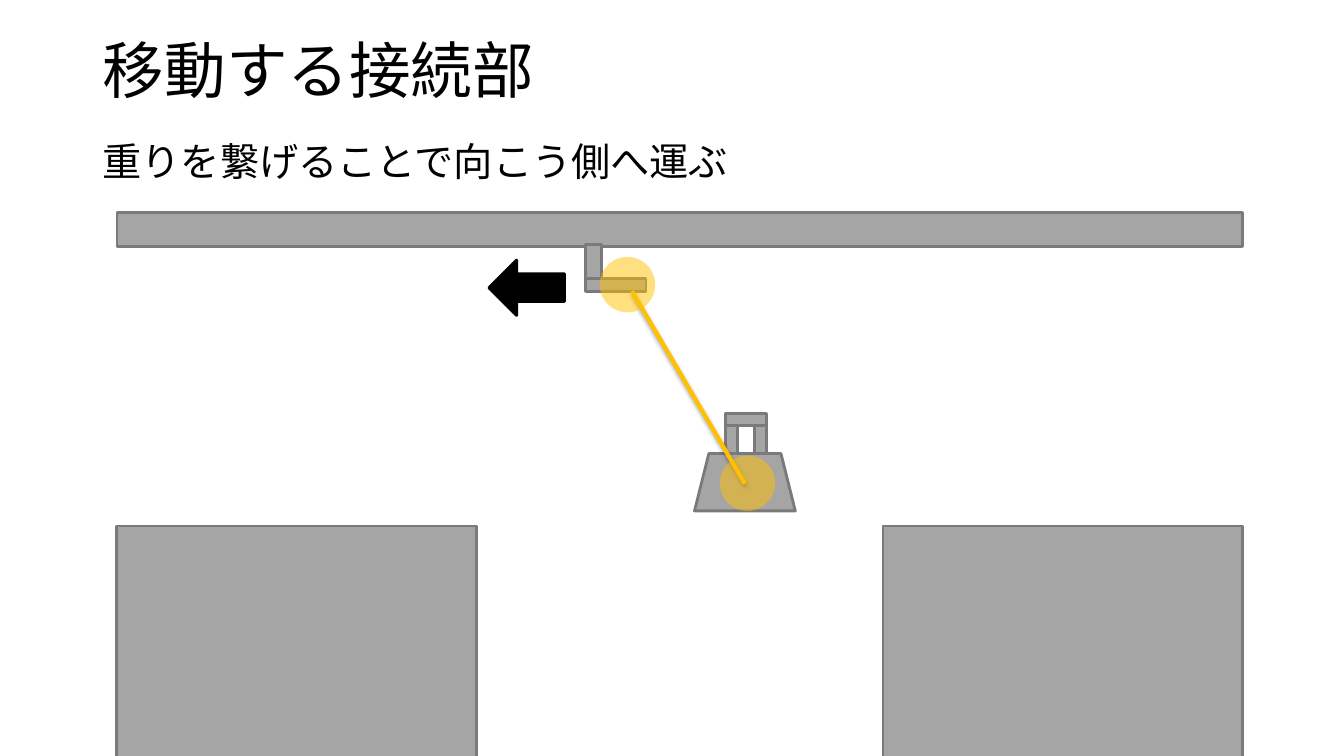
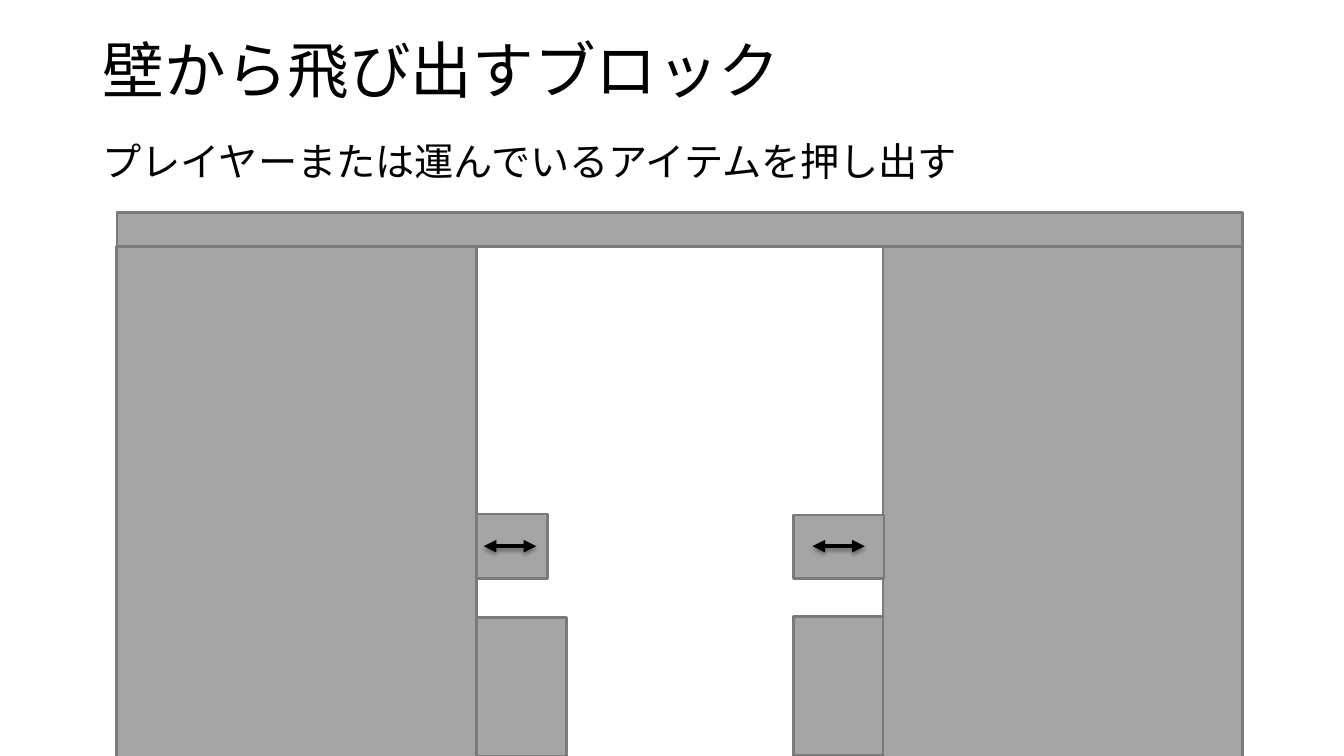
from lxml.etree import SubElement
from pptx import Presentation
from pptx.dml.color import RGBColor
from pptx.enum.shapes import MSO_CONNECTOR, MSO_SHAPE
from pptx.enum.text import MSO_ANCHOR, MSO_AUTO_SIZE, PP_ALIGN
from pptx.oxml.ns import qn
from pptx.util import Inches, Pt

COLORS = {"text": "000000", "block": "A5A5A5", "edge": "7A7A7A", "link": "FFC000"}
FONT = "Calibri"

presentation = Presentation()
presentation.slide_width = Inches(13.33)
presentation.slide_height = Inches(7.5)
CELL = presentation.slide_width / 40  # square grid: 40 columns, 22.5 rows

TEXT_LEFT, TEXT_WIDTH = 2.76, 34.5
WALL_WIDTH, WALL_BOTTOM = 10.71, 22.56
LEFT_WALL, RIGHT_WALL = 3.48, 26.28
LEFT_FACE = LEFT_WALL + WALL_WIDTH
BEAM_TOP, BEAM_HEIGHT = 6.33, 1.02
JOINT_SIZE = 1.65


def write_text(shape, text, top, height, size, anchor, space_before=0):
    shape.left, shape.top, shape.width, shape.height = [
        round(cells * CELL) for cells in (TEXT_LEFT, top, TEXT_WIDTH, height)]
    frame = shape.text_frame
    frame.word_wrap = True
    frame.auto_size = MSO_AUTO_SIZE.NONE
    frame.vertical_anchor = anchor
    paragraph = frame.paragraphs[0]
    paragraph.alignment = PP_ALIGN.LEFT
    paragraph.line_spacing = 0.9
    paragraph.space_before = Pt(space_before)
    run = paragraph.add_run()
    run.text = text
    run.font.name = FONT
    run.font.size = Pt(size)
    run.font.color.rgb = RGBColor.from_string(COLORS["text"])


def draw_shape(slide, left, top, width, height,
               preset=MSO_SHAPE.RECTANGLE, fill="block", edge="edge", opacity=100):
    """Draw a preset shape placed in grid cells; edge=None leaves out the outline."""
    shape = slide.shapes.add_shape(
        preset, *[round(cells * CELL) for cells in (left, top, width, height)])
    shape.shadow.inherit = False
    shape.fill.solid()
    shape.fill.fore_color.rgb = RGBColor.from_string(COLORS[fill])
    if opacity < 100:
        color = shape._element.spPr.find(qn("a:solidFill")).find(qn("a:srgbClr"))
        SubElement(color, qn("a:alpha"), val=str(opacity * 1000))
    if edge:
        shape.line.color.rgb = RGBColor.from_string(COLORS[edge])
        shape.line.width = Pt(2)
    else:
        shape.line.fill.background()


# Title, subtitle, walls and ceiling beam of each slide
slides = []
for title, subtitle, wall_top in (
    ("移動する接続部", "重りを繋げることで向こう側へ運ぶ", 15.66),
    ("壁から飛び出すブロック", "プレイヤーまたは運んでいるアイテムを押し出す", BEAM_TOP + BEAM_HEIGHT),
):
    slide = presentation.slides.add_slide(presentation.slide_layouts[5])
    write_text(slide.shapes.title, title, 0, 4.35, 44, MSO_ANCHOR.MIDDLE)
    write_text(slide.shapes.add_textbox(0, 0, 0, 0), subtitle, 4.11, 2.1, 28,
               MSO_ANCHOR.TOP, space_before=10)
    for wall_left in (LEFT_WALL, RIGHT_WALL):
        draw_shape(slide, wall_left, wall_top, WALL_WIDTH, WALL_BOTTOM - wall_top)
    draw_shape(slide, LEFT_WALL, BEAM_TOP, RIGHT_WALL + WALL_WIDTH - LEFT_WALL, BEAM_HEIGHT)
    slides.append(slide)
moving_slide, pushing_slide = slides

# Hook under the beam, then the weight with its handle
for box in ((17.43, 7.29, 0.48, 1.02), (17.43, 8.28, 1.8, 0.39)):
    draw_shape(moving_slide, *box)
draw_shape(moving_slide, 20.67, 13.5, 3, 1.71, preset=MSO_SHAPE.TRAPEZOID)
for box in ((22.46, 12.66, 0.36, 0.84), (21.6, 12.66, 0.36, 0.84), (21.6, 12.3, 1.22, 0.36)):
    draw_shape(moving_slide, *box)

# Fixed ledges, then the blocks that slide out above them
for box in (
    (LEFT_FACE, 18.39, 2.67, 4.14),
    (23.61, 18.36, 2.67, 4.14),
    (LEFT_FACE, 15.3, 2.1, 1.92),
    (23.61, 15.33, 2.7, 1.89),
):
    draw_shape(pushing_slide, *box)

# Link to the weight and the two-way arrows on the blocks
for slide, ends, color, has_arrows in (
    (moving_slide, (18.81, 8.67, 22.17, 14.4), "link", False),
    (pushing_slide, (24.18, 16.26, 25.74, 16.26), "text", True),
    (pushing_slide, (14.4, 16.26, 15.96, 16.26), "text", True),
):
    connector = slide.shapes.add_connector(
        MSO_CONNECTOR.STRAIGHT, *[round(cells * CELL) for cells in ends])
    connector.line.color.rgb = RGBColor.from_string(COLORS[color])
    connector.line.width = Pt(3)
    properties = connector._element.spPr
    if has_arrows:
        for end in ("a:headEnd", "a:tailEnd"):
            SubElement(properties.find(qn("a:ln")), qn(end), type="triangle")
    effects = SubElement(properties, qn("a:effectLst"))
    shadow = SubElement(effects, qn("a:outerShdw"), blurRad=str(Pt(3.1)),
                        dist=str(Pt(1.8)), dir="5400000", rotWithShape="0")
    shadow_color = SubElement(shadow, qn("a:srgbClr"), val=COLORS["text"])
    SubElement(shadow_color, qn("a:alpha"), val="35000")

# Joints over both ends of the link, and the direction of travel
for left, top in ((21.42, 13.56), (17.85, 7.65)):
    draw_shape(moving_slide, left, top, JOINT_SIZE, JOINT_SIZE,
               preset=MSO_SHAPE.OVAL, fill="link", edge=None, opacity=50)
draw_shape(moving_slide, 14.55, 7.74, 2.25, 1.65,
           preset=MSO_SHAPE.LEFT_ARROW, fill="text", edge="text")

presentation.save("out.pptx")
